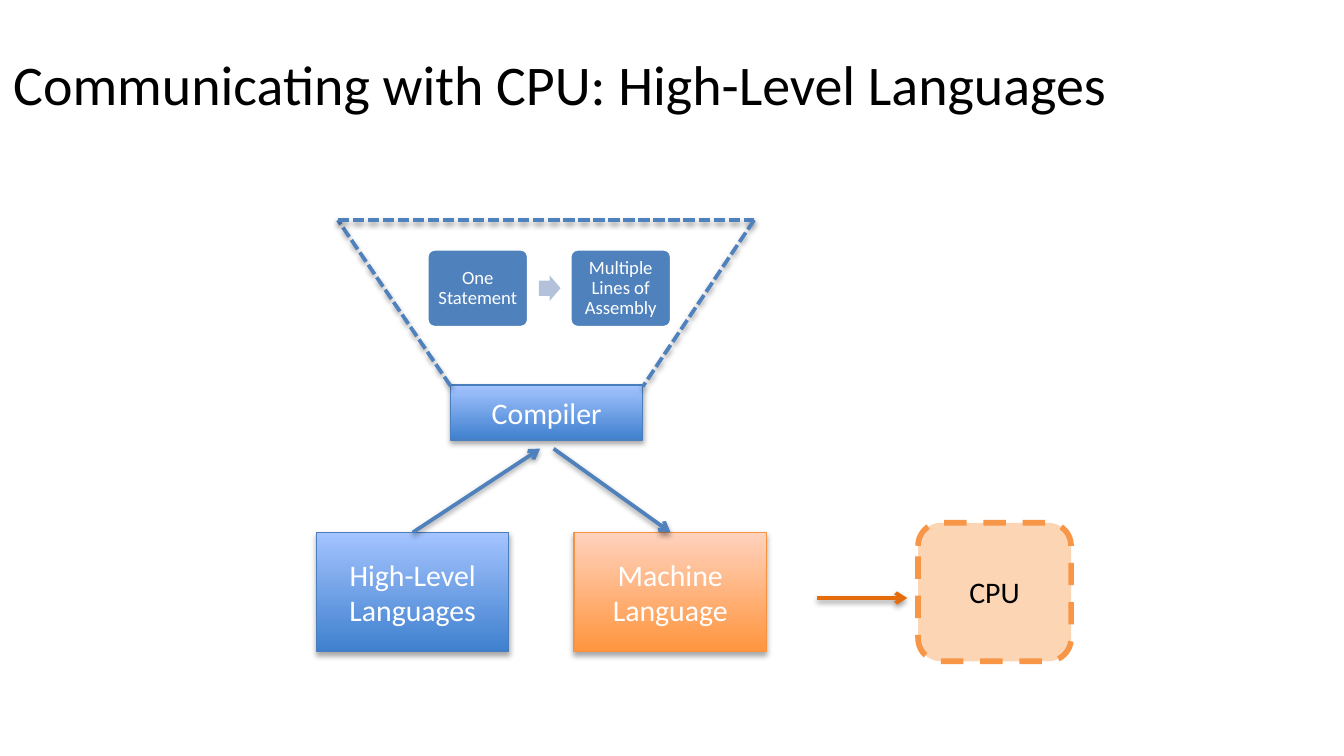
import pptx
import pptx.dml.color
import pptx.enum.dml
import pptx.enum.shapes
import pptx.enum.text
import pptx.oxml
import pptx.oxml.ns
import pptx.util

Pt = pptx.util.Pt
SHAPE = pptx.enum.shapes.MSO_SHAPE
DASH = pptx.enum.dml.MSO_LINE
ALIGN = pptx.enum.text.PP_ALIGN
qn = pptx.oxml.ns.qn

FONT = "Calibri"
COLORS = {
    "black": "000000",
    "white": "FFFFFF",
    "blue": "4F81BD",
    "blue_edge": "4B7EBC",
    "blue_dark": "3F80CE",
    "blue_light": "A4C4FF",
    "blue_pale": "B3C1DB",
    "orange": "F79646",
    "orange_edge": "F69240",
    "orange_dark": "FF953E",
    "orange_light": "FFD2BD",
    "orange_pale": "FCD5B5",
    "orange_arrow": "E46C0A",
}


def rgb(name):
    return pptx.dml.color.RGBColor.from_string(COLORS[name])


def add_shadow(element, distance, opacity):
    properties = element.spPr
    effects = properties.find(qn("a:effectLst"))
    if effects is None:
        effects = pptx.oxml.parse_xml(f"<a:effectLst {pptx.oxml.ns.nsdecls('a')}/>")
        properties.append(effects)
    effects.append(pptx.oxml.parse_xml(
        f'<a:outerShdw {pptx.oxml.ns.nsdecls("a")} blurRad="{Pt(3.1)}" '
        f'dist="{Pt(distance)}" dir="5400000" rotWithShape="0">'
        f'<a:srgbClr val="{COLORS["black"]}"><a:alpha val="{opacity * 1000}"/>'
        '</a:srgbClr></a:outerShdw>'))


def write_text(shape, text, size, color, alignment=ALIGN.CENTER):
    frame = shape.text_frame
    frame.word_wrap = True
    frame.vertical_anchor = pptx.enum.text.MSO_ANCHOR.MIDDLE
    paragraph = frame.paragraphs[0]
    paragraph.alignment = alignment
    run = paragraph.add_run()
    run.text = text
    run.font.name = FONT
    run.font.size = Pt(size)
    run.font.color.rgb = rgb(color)
    return paragraph


def add_title(slide, text):
    box = slide.shapes.add_textbox(Pt(0), Pt(18), Pt(630.7), Pt(53.3))
    write_text(box, text, 30, "black", ALIGN.LEFT)


def add_shape(slide, kind, left, top, width, height, fill=None, line=None, weight=0.75):
    shape = slide.shapes.add_shape(kind, Pt(left), Pt(top), Pt(width), Pt(height))
    shape.shadow.inherit = False
    if fill:
        shape.fill.solid()
        shape.fill.fore_color.rgb = rgb(fill)
    if line:
        shape.line.color.rgb = rgb(line)
        shape.line.width = Pt(weight)
    else:
        shape.line.fill.background()
    return shape


def add_gradient_box(slide, text, left, top, height, hue):
    box = add_shape(slide, SHAPE.RECTANGLE, left, top, 103, height, line=f"{hue}_edge")
    box.fill.gradient()
    box.fill.gradient_angle = 90
    for stop, tone in zip(box.fill.gradient_stops, ("dark", "light")):
        stop.color.rgb = rgb(f"{hue}_{tone}")
    add_shadow(box.element, 1.8, 35)
    write_text(box, text, 16, "white")


def add_card(slide, text, left):
    card = add_shape(slide, SHAPE.ROUNDED_RECTANGLE, left, 133.3, 54.7, 42.3,
                     "blue", "white", 2)
    card.adjustments[0] = 0.1
    frame = card.text_frame
    frame.margin_left = frame.margin_right = Pt(4)
    frame.margin_top = frame.margin_bottom = Pt(4)
    write_text(card, text, 10, "white").line_spacing = 0.9


def add_step_arrow(slide):
    arrow = add_shape(slide, SHAPE.RIGHT_ARROW, 288.7, 147.6, 11.6, 13.6, "blue_pale")
    arrow.adjustments[0] = 0.6
    arrow.adjustments[1] = 0.5


def add_cpu(slide):
    cpu = add_shape(slide, SHAPE.ROUNDED_RECTANGLE, 491.8, 280.1, 82, 74.2,
                    "orange_pale", "orange", 3)
    cpu.line.dash_style = DASH.DASH
    write_text(cpu, "CPU", 16, "black")


def add_line(slide, start, end, color="blue", dashed=False):
    line = slide.shapes.add_connector(
        pptx.enum.shapes.MSO_CONNECTOR.STRAIGHT, *map(Pt, start + end))
    line.line.color.rgb = rgb(color)
    line.line.width = Pt(2)
    if dashed:
        line.line.dash_style = DASH.SQUARE_DOT
    else:
        outline = line.element.spPr.find(qn("a:ln"))
        outline.append(pptx.oxml.parse_xml(
            f'<a:tailEnd {pptx.oxml.ns.nsdecls("a")} type="arrow"/>'))
    add_shadow(line.element, 1.6, 38)


def main():
    presentation = pptx.Presentation()
    presentation.slide_width = Pt(720)
    presentation.slide_height = Pt(405)
    slide = presentation.slides.add_slide(presentation.slide_layouts[6])

    add_title(slide, "Communicating with CPU: High-Level Languages")

    add_gradient_box(slide, "Machine Language", 307.6, 285.2, 64, "orange")
    add_gradient_box(slide, "High-Level Languages", 169.6, 285.2, 64, "blue")
    add_gradient_box(slide, "Compiler", 241.4, 206.2, 29.5, "blue")
    add_cpu(slide)

    add_line(slide, (221.2, 285.2), (289.4, 240.4))
    add_line(slide, (296.6, 240.4), (359.2, 285.2))
    add_line(slide, (437.8, 320.4), (486, 320.4), "orange_arrow")

    add_card(slide, "One Statement", 228.6)
    add_step_arrow(slide)
    add_card(slide, "Multiple Lines of Assembly", 305.2)

    funnel = [(241.4, 206.8), (181, 117.9), (404, 117.9), (344.3, 207.2)]
    for start, end in zip(funnel, funnel[1:]):
        add_line(slide, start, end, dashed=True)

    presentation.save("out.pptx")


if __name__ == "__main__":
    main()
